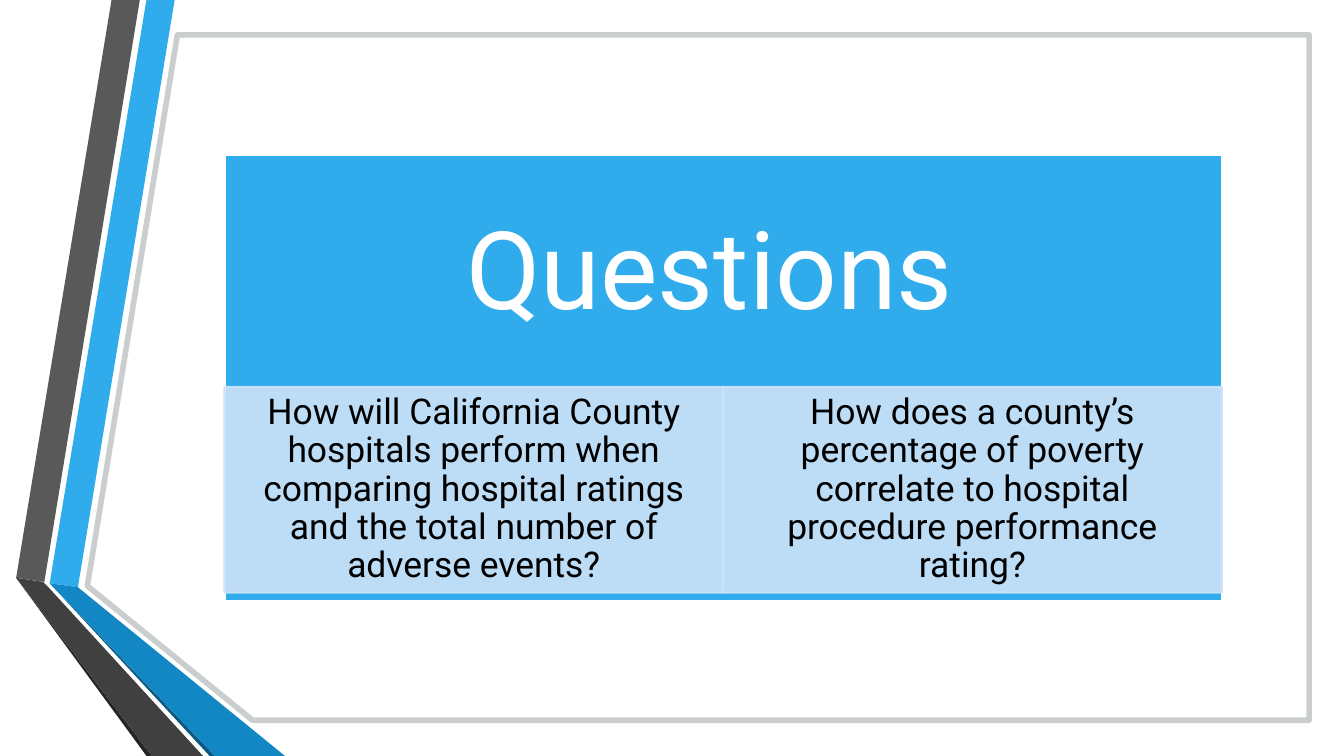
from lxml.etree import SubElement
from pptx import Presentation
from pptx.dml.color import RGBColor
from pptx.enum.shapes import MSO_SHAPE
from pptx.enum.text import MSO_ANCHOR, PP_ALIGN
from pptx.oxml.ns import qn
from pptx.util import Inches, Pt

WIDTH = 10
HEIGHT = WIDTH * 9 / 16
COLORS = {
    "blue": "30ACEC", "deep_blue": "1287C3", "navy": "0C5A82",
    "gray": "595959", "dark_gray": "404040", "charcoal": "262626",
    "frame": "CBCECF", "pale": "CDE3F8", "white": "FFFFFF", "black": "000000",
}

# Ribbon pieces, back to front: colour and corner points in inches
RIBBONS = [
    ("blue", [(0.37, 4.34), (0.58, 4.37), (1.3, 0), (1.09, 0)]),
    ("gray", [(1.04, 0), (0.83, 0), (0.12, 4.3), (0.33, 4.33)]),
    ("charcoal", [(0.12, 4.3), (1.09, HEIGHT), (1.13, HEIGHT)]),
    ("navy", [(0.37, 4.34), (1.56, HEIGHT), (1.6, HEIGHT)]),
    ("deep_blue", [(0.37, 4.34), (1.6, HEIGHT), (2.12, HEIGHT), (0.58, 4.37)]),
    ("dark_gray", [(1.51, HEIGHT), (0.36, 4.37), (0.32, 4.33), (0.12, 4.3),
                   (1.13, HEIGHT)]),
]
FRAME = [(1.32, 0.26), (9.74, 0.26), (9.74, 5.36), (1.88, 5.36), (0.65, 4.36)]

# Panel grid: a heading over one column per question
PANEL_LEFT, PANEL_TOP, PANEL_WIDTH, PANEL_HEIGHT = 1.67, 1.15, 7.42, 3.32
HEADING_HEIGHT = 1.79
ROW_TOP, ROW_HEIGHT = 2.88, 1.53
QUESTIONS = [
    "How will California County hospitals perform when comparing hospital "
    "ratings and the total number of adverse events?",
    "How does a county’s percentage of poverty correlate to hospital "
    "procedure performance rating?",
]


def rgb(color):
    return RGBColor.from_string(COLORS[color])


def set_alpha(parent, percent):
    """Make the solid fill inside an XML element partly transparent."""
    color = parent.find(qn("a:solidFill") + "/" + qn("a:srgbClr"))
    SubElement(color, qn("a:alpha"), val=str(percent * 1000))


def paint(shape, fill, line=None, line_width=1.25):
    shape.shadow.inherit = False
    shape.fill.solid()
    shape.fill.fore_color.rgb = rgb(fill)
    if line:
        shape.line.color.rgb = rgb(line)
        shape.line.width = Pt(line_width)
    else:
        shape.line.fill.background()


def add_outline(slide, points, fill, **line_format):
    start, *corners = [(Inches(x), Inches(y)) for x, y in points]
    builder = slide.shapes.build_freeform(*start)
    builder.add_line_segments(corners, close=True)
    paint(builder.convert_to_shape(), fill, **line_format)


def add_block(slide, box, fill, line):
    block = slide.shapes.add_shape(MSO_SHAPE.RECTANGLE, *map(Inches, box))
    paint(block, fill, line)
    return block


def write(block, text, size, color, insets):
    frame = block.text_frame
    frame_format = {"word_wrap": True, "vertical_anchor": MSO_ANCHOR.MIDDLE}
    for side, inset in insets.items():
        frame_format["margin_" + side] = Inches(inset)
    for name, value in frame_format.items():
        setattr(frame, name, value)
    paragraph = frame.paragraphs[0]
    for name, value in {"text": text, "alignment": PP_ALIGN.CENTER,
                        "line_spacing": 0.9}.items():
        setattr(paragraph, name, value)
    font = paragraph.runs[0].font
    for name, value in {"name": "Roboto", "size": Pt(size)}.items():
        setattr(font, name, value)
    font.color.rgb = rgb(color)


def add_heading(slide):
    panel = add_block(slide, (PANEL_LEFT, PANEL_TOP, PANEL_WIDTH, PANEL_HEIGHT),
                      "blue", "white")
    pad = 0.45
    below = PANEL_HEIGHT - HEADING_HEIGHT
    write(panel, "Questions ", 58, "white",
          {"left": pad, "right": pad, "top": pad, "bottom": pad + below})


def add_questions(slide):
    column = PANEL_WIDTH / len(QUESTIONS)
    for index, question in enumerate(QUESTIONS):
        box = (PANEL_LEFT + index * column, ROW_TOP, column, ROW_HEIGHT)
        cell = add_block(slide, box, "pale", "pale")
        properties = cell.element.spPr
        for part in (properties, properties.find(qn("a:ln"))):
            set_alpha(part, 90)
        write(cell, question, 19, "black",
              {"left": 0.15, "right": 0.15, "top": 0.03, "bottom": 0.03})


def main():
    deck = Presentation()
    deck.slide_width, deck.slide_height = Inches(WIDTH), Inches(HEIGHT)
    slide = deck.slides.add_slide(deck.slide_layouts[6])

    # Folded ribbons and frame
    for color, points in RIBBONS:
        add_outline(slide, points, color)
    add_outline(slide, FRAME, "white", line="frame", line_width=3)

    # Question panel
    add_heading(slide)
    add_questions(slide)
    deck.save("out.pptx")


if __name__ == "__main__":
    main()
